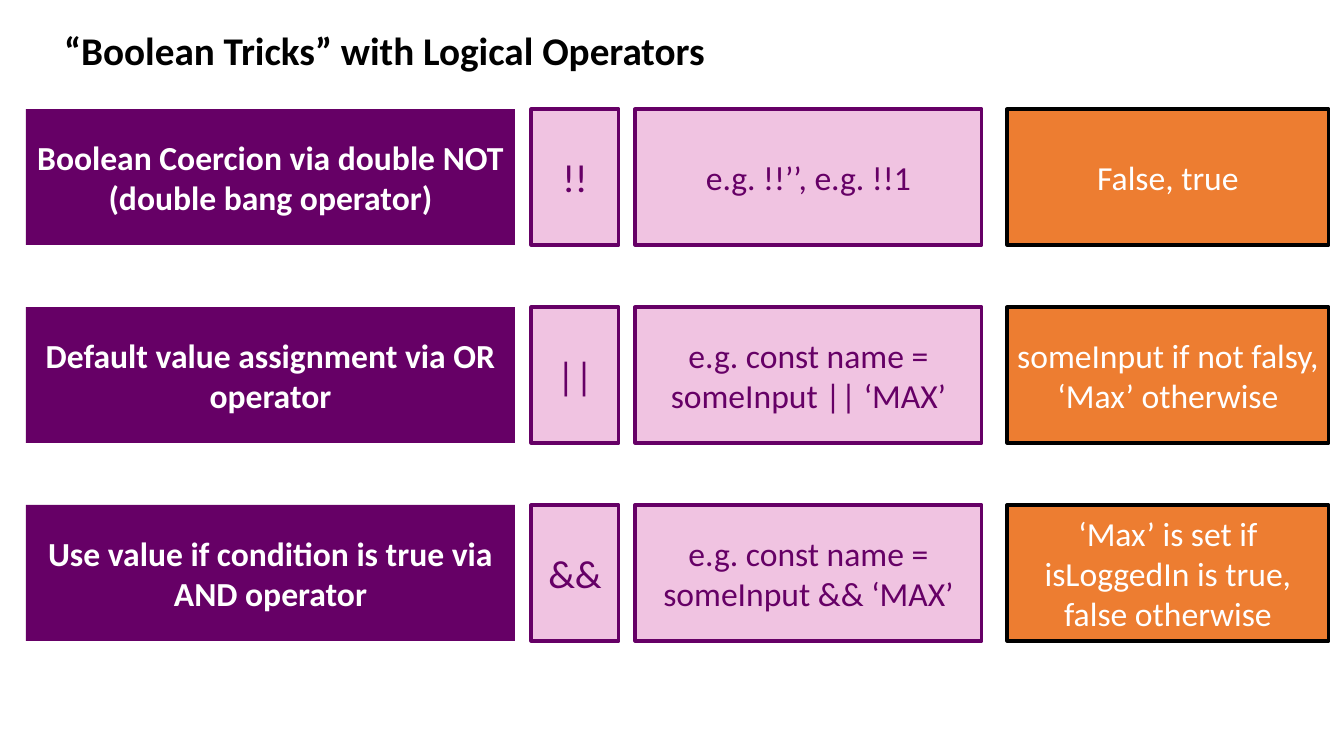
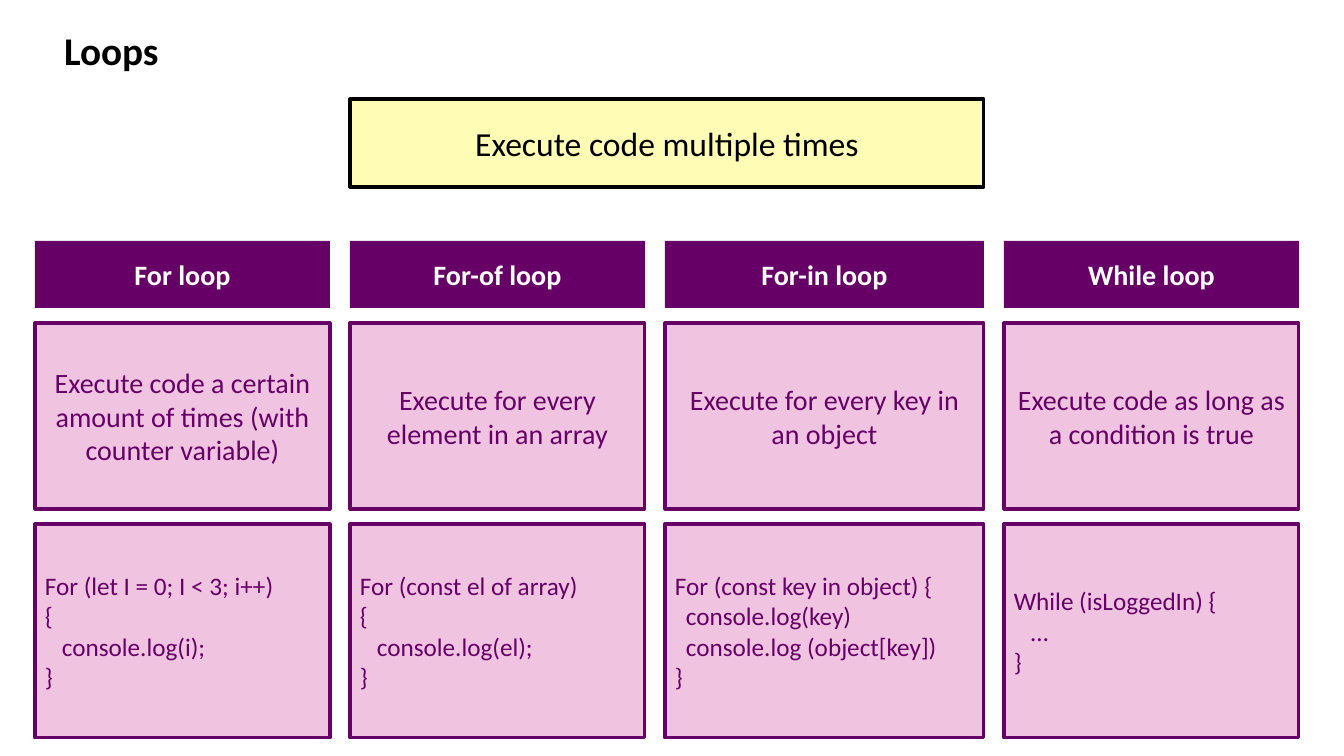
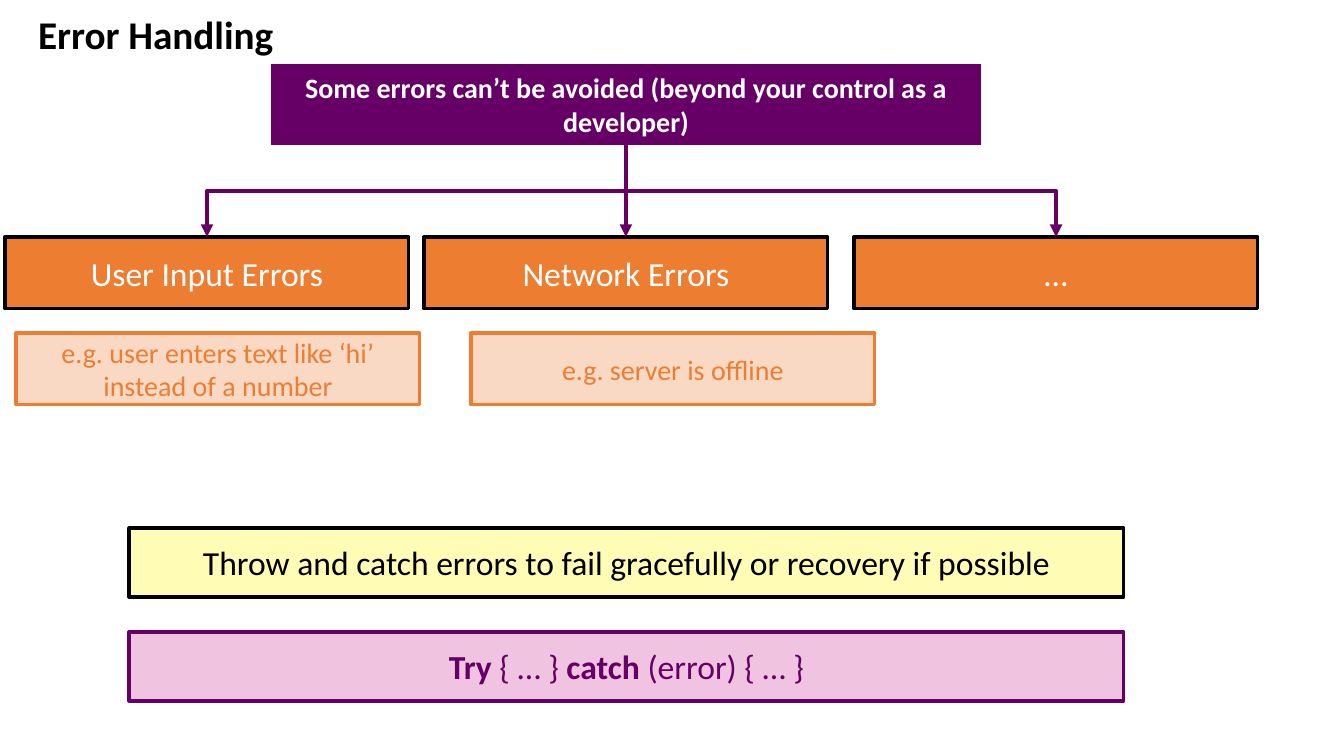
from dataclasses import dataclass

from lxml import etree
from pptx import Presentation
from pptx.dml.color import RGBColor
from pptx.enum.shapes import MSO_CONNECTOR, MSO_SHAPE
from pptx.enum.text import MSO_ANCHOR, MSO_AUTO_SIZE, PP_ALIGN
from pptx.oxml.ns import qn
from pptx.util import Emu, Pt

RECTANGLE = MSO_SHAPE.RECTANGLE
ELBOW = MSO_CONNECTOR.ELBOW
LEFT, CENTER = PP_ALIGN.LEFT, PP_ALIGN.CENTER
TOP, MIDDLE = MSO_ANCHOR.TOP, MSO_ANCHOR.MIDDLE
GROW = MSO_AUTO_SIZE.SHAPE_TO_FIT_TEXT

EMU_PER_PIXEL = 914400 / 100.8
PAGE_WIDTH, PAGE_HEIGHT = 1344, 756
TITLE_ONLY = 5
FONT = "Calibri"
BOTTOM_SITE, TOP_SITE = 2, 0
COLORS = {
    "purple": "660066",
    "pink": "CC3399",
    "orange": "ED7D31",
    "yellow": "FCF600",
    "black": "000000",
    "white": "FFFFFF",
}


@dataclass
class BoxStyle:
    fill: str
    text: str
    line: str = ""
    opacity: int = 100
    bold: bool = False


HEADING = BoxStyle("purple", "white", bold=True)
DETAIL = BoxStyle("pink", "purple", "purple", opacity=29)
RESULT = BoxStyle("orange", "white", "black")
EXAMPLE = BoxStyle("orange", "orange", "orange", opacity=29)
BANNER = BoxStyle("yellow", "black", "black", opacity=29)


def px(pixels):
    return Emu(round(pixels * EMU_PER_PIXEL))


def color(name):
    return RGBColor.from_string(COLORS[name])


def format_font(font, size, color_name, bold):
    font.name = FONT
    font.size = Pt(size)
    font.bold = bold
    font.color.rgb = color(color_name)


def add_page(deck, title, left=54, top=21):
    page = deck.slides.add_slide(deck.slide_layouts[TITLE_ONLY])
    box = page.shapes.title
    box.left, box.top, box.width, box.height = px(left), px(top), px(762), px(57)
    frame = box.text_frame
    frame.text = title
    frame.word_wrap = True
    frame.auto_size = GROW
    frame.vertical_anchor = TOP
    para = frame.paragraphs[0]
    para.alignment = LEFT
    format_font(para.runs[0].font, 28, "black", True)
    return page


def set_opacity(box, percent):
    tint = box.fill._xPr.find(qn("a:solidFill"))[0]
    etree.SubElement(tint, qn("a:alpha"), val=str(percent * 1000))


def add_box(page, area, text, style, size=24, align=CENTER):
    """Text between asterisks is bold."""
    box = page.shapes.add_shape(RECTANGLE, *map(px, area))
    box.shadow.inherit = False
    box.fill.solid()
    box.fill.fore_color.rgb = color(style.fill)
    if style.opacity < 100:
        set_opacity(box, style.opacity)
    if style.line:
        box.line.color.rgb = color(style.line)
        box.line.width = Pt(2.25)
    else:
        box.line.fill.background()

    frame = box.text_frame
    frame.word_wrap = True
    frame.vertical_anchor = MIDDLE
    frame.text = "\n" * text.count("\n")
    for para, line in zip(frame.paragraphs, text.split("\n")):
        para.alignment = align
        for index, part in enumerate(line.split("*")):
            if part:
                span = para.add_run()
                span.text = part
                emphasized = index % 2 == 1
                format_font(span.font, size, style.text, style.bold or emphasized)
    return box


def add_code(page, area, lines, body_indent):
    """The lines between the first brace and the last are indented."""
    box = add_box(page, area, "\n".join(lines), DETAIL, 18, LEFT)
    opening = next(i for i, line in enumerate(lines) if line.endswith("{"))
    for para in box.text_frame.paragraphs[opening + 1:-1]:
        properties = para._p.get_or_add_pPr()
        properties.set("marL", str(px(body_indent)))
        properties.set("indent", "0")


def add_branch(page, parent, child):
    """Arrow that leaves downwards, turns halfway and enters from above."""
    start_x = parent.left + parent.width // 2
    start_y = parent.top + parent.height
    end_x = child.left + child.width // 2
    drop, shift = child.top - start_y, end_x - start_x
    branch = page.shapes.add_connector(ELBOW, start_x, start_y, end_x, child.top)
    branch.begin_connect(parent, BOTTOM_SITE)
    branch.end_connect(child, TOP_SITE)

    # A quarter turn makes the elbow start vertically
    branch.width, branch.height = drop, abs(shift)
    branch.left = (start_x + end_x - drop) // 2
    branch.top = (start_y + child.top - abs(shift)) // 2
    properties = branch.element.spPr
    properties.xfrm.set("rot", str((90 if shift < 0 else 270) * 60000))
    properties.xfrm.set("flipH", "0" if shift < 0 else "1")

    branch.line.color.rgb = color("purple")
    branch.line.width = Pt(3)
    etree.SubElement(branch.line._get_or_add_ln(), qn("a:tailEnd"), type="triangle")
    etree.SubElement(properties, qn("a:effectLst"))


def build_boolean_tricks(deck):
    page = add_page(deck, "“Boolean Tricks” with Logical Operators")
    columns = [  # left, width, style, text size
        (26, 489, HEADING, 24),
        (531, 88, DETAIL, 28),
        (635, 347, DETAIL, 24),
        (1007, 322, RESULT, 24),
    ]
    tricks = [
        ("Boolean Coercion via double NOT (double bang operator)", "!!",
         "e.g. !!’’, e.g. !!1", "False, true"),
        ("Default value assignment via OR operator", "||",
         "e.g. const name = someInput || ‘MAX’",
         "someInput if not falsy, ‘Max’ otherwise"),
        ("Use value if condition is true via AND operator", "&&",
         "e.g. const name = someInput && ‘MAX’",
         "‘Max’ is set if isLoggedIn is true, false otherwise"),
    ]
    for row, trick in enumerate(tricks):
        for (left, width, style, size), text in zip(columns, trick):
            add_box(page, (left, 109 + 198 * row, width, 136), text, style, size)


def build_loops(deck):
    page = add_page(deck, "Loops")
    loops = [  # width, heading, purpose, code, indent of its body
        (295, "For loop",
         "Execute code a certain amount of times (with counter variable)",
         ["For (let I = 0; I < 3; i++)", "{", "console.log(i);", "}"], 17),
        (295, "For-of loop", "Execute for every element in an array",
         ["For (const el of array)", "{", "console.log(el);", "}"], 17),
        (319, "For-in loop", "Execute for every key in an object",
         ["For (const key in object) {", "console.log(key)",
          "console.log (object[key])", "}"], 11),
        (295, "While loop", "Execute code as long as a condition is true",
         ["While (isLoggedIn) {", "…", "}"], 17),
    ]
    left, gap = 35, 20
    for width, heading, purpose, code, indent in loops:
        add_box(page, (left, 241, width, 67), heading, HEADING, 20)
        add_box(page, (left, 323, width, 186), purpose, DETAIL, 20)
        add_code(page, (left, 524, width, 214), code, indent)
        left += width + gap
    add_box(page, (350, 99, 634, 88), "Execute code multiple times", BANNER)


def build_error_handling(deck):
    page = add_page(deck, "Error Handling", 28, 5)
    cause = add_box(
        page, (271, 64, 710, 81),
        "Some errors can’t be avoided (beyond your control as a developer)",
        HEADING, 20)

    # Kinds of error, with a branch to each
    kinds = [(5, "User Input Errors"), (424, "Network Errors"), (854, "…")]
    for left, text in kinds:
        kind = add_box(page, (left, 237, 404, 72), text, RESULT)
        add_branch(page, cause, kind)

    examples = [
        (16, "e.g. user enters text like ‘hi’ instead of a number"),
        (471, "e.g. server is offline"),
    ]
    for left, text in examples:
        add_box(page, (left, 333, 404, 72), text, EXAMPLE, 20)

    # Remedy
    add_box(page, (129, 528, 995, 69),
            "Throw and catch errors to fail gracefully or recovery if possible",
            BANNER)
    add_box(page, (129, 632, 995, 69), "*Try* { … } *catch* (error) { … }", DETAIL)


def main():
    deck = Presentation()
    deck.slide_width, deck.slide_height = px(PAGE_WIDTH), px(PAGE_HEIGHT)
    build_boolean_tricks(deck)
    build_loops(deck)
    build_error_handling(deck)
    deck.save("out.pptx")


main()
